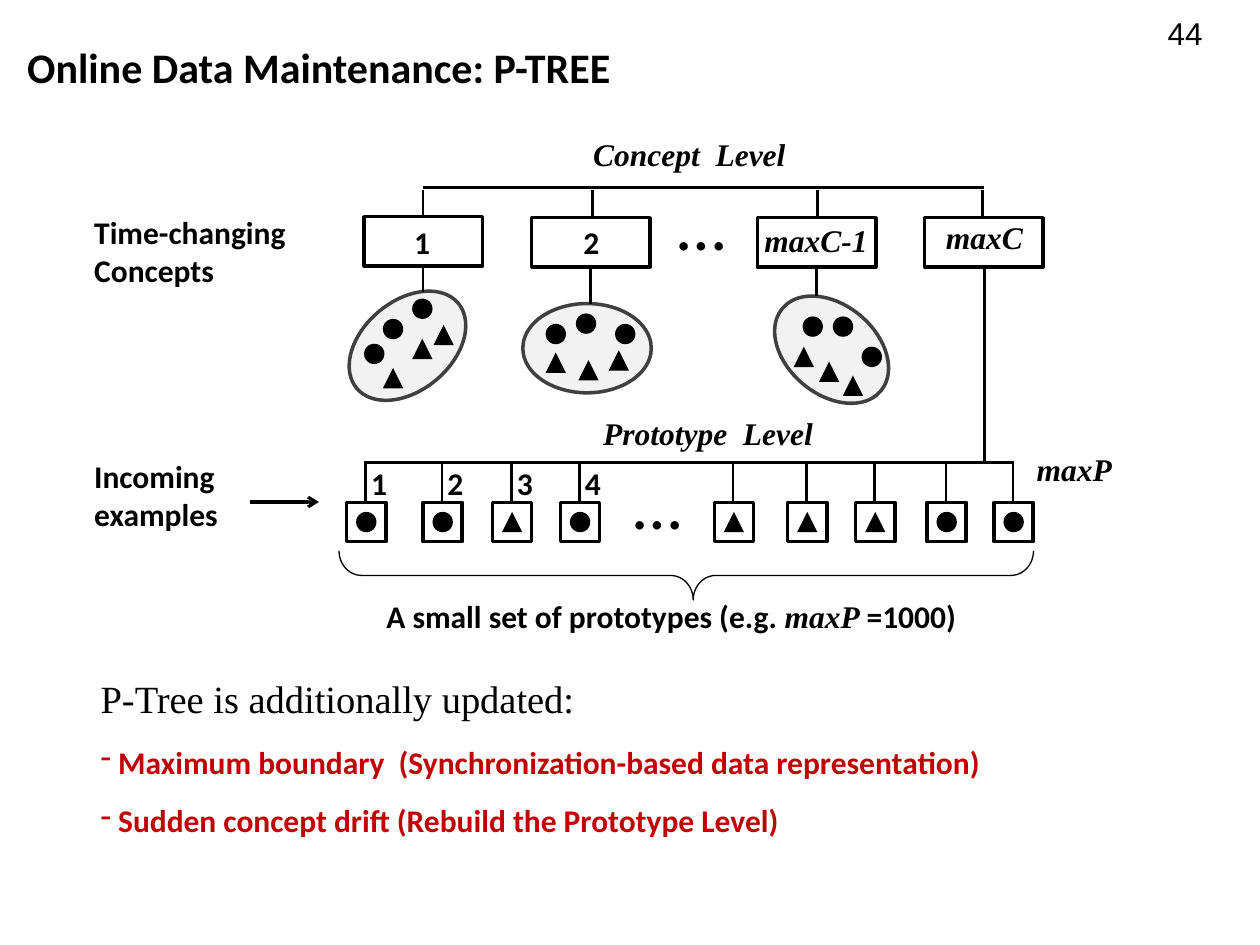
from lxml import etree
from pptx import Presentation
from pptx.dml.color import RGBColor
from pptx.enum.shapes import MSO_CONNECTOR, MSO_SHAPE
from pptx.oxml.ns import qn
from pptx.util import Cm, Pt

STRAIGHT = MSO_CONNECTOR.STRAIGHT
RECTANGLE = MSO_SHAPE.RECTANGLE
CIRCLE = MSO_SHAPE.OVAL
TRIANGLE = MSO_SHAPE.ISOSCELES_TRIANGLE
BRACE = MSO_SHAPE.LEFT_BRACE

COLORS = {"ink": "000000", "cluster": "F2F2F2", "outline": "404040", "accent": "C00000"}
SANS, SERIF, NUMBER_FONT = "Calibri", "Times New Roman", "Arial"
MARK_SIZE = 0.41
BOX_WIDTH, BOX_HEIGHT = 2.39, 0.99
PROTOTYPE_SIZE = 0.79
CONCEPT_BAR, PROTOTYPE_BAR = 3.78, 9.32


def rgb(name):
    return RGBColor.from_string(COLORS[name])


class SlideBuilder:
    """Draws styled elements on one slide; all positions are in centimetres."""

    def __init__(self, slide):
        self.slide = slide

    def shape(self, kind, left, top, width, height, fill=None, line="ink",
              weight=2, rotation=0):
        shape = self.slide.shapes.add_shape(kind, Cm(left), Cm(top), Cm(width), Cm(height))
        shape.shadow.inherit = False
        shape.rotation = rotation
        if fill:
            shape.fill.solid()
            shape.fill.fore_color.rgb = rgb(fill)
        else:
            shape.fill.background()
        if line:
            shape.line.color.rgb = rgb(line)
            shape.line.width = Pt(weight)
        else:
            shape.line.fill.background()
        return shape

    def mark(self, kind, left, top):
        self.shape(kind, left, top, MARK_SIZE, MARK_SIZE, fill="ink", line=None)

    def line(self, x1, y1, x2, y2, weight=1.5, arrow=False):
        connector = self.slide.shapes.add_connector(STRAIGHT, Cm(x1), Cm(y1), Cm(x2), Cm(y2))
        connector.line.color.rgb = rgb("ink")
        connector.line.width = Pt(weight)
        if arrow:
            etree.SubElement(connector.line._get_or_add_ln(), qn("a:tailEnd"), type="arrow")
        etree.SubElement(connector._element.spPr, qn("a:effectLst"))

    def run(self, paragraph, text, size=18, font=SANS, color="ink", bold=True, italic=False):
        run = paragraph.add_run()
        run.text = text
        run.font.size = Pt(size)
        run.font.name = font
        run.font.bold = bold
        run.font.italic = italic
        run.font.color.rgb = rgb(color)

    def text_frame(self, left, top, width, height):
        box = self.slide.shapes.add_textbox(Cm(left), Cm(top), Cm(width), Cm(height))
        box.text_frame.word_wrap = True
        return box.text_frame

    def text(self, text, left, top, width, height, **style):
        paragraph = self.text_frame(left, top, width, height).paragraphs[0]
        self.run(paragraph, text, **style)
        return paragraph

    def term(self, text, left, top, width):
        self.text(text, left, top, width, 1.02, font=SERIF, italic=True)

    def ellipsis(self, left, top):
        self.text("…", left, top, 1.78, 1.96, size=40, bold=False)

    def bullet(self, frame, text):
        paragraph = frame.add_paragraph()
        paragraph.space_before = paragraph.space_after = Pt(6)
        etree.SubElement(paragraph._p.get_or_add_pPr(), qn("a:buChar"), char="-")
        self.run(paragraph, text, color="accent")


def draw_concepts(builder):
    # box left, box top, stem above, stem below, end of the stem below
    concepts = [
        (7.34, 4.37, 8.53, 8.53, 5.89),
        (10.72, 4.39, 11.94, 11.9, 6.12),
        (15.27, 4.39, 16.48, 16.46, 5.97),
        (18.64, 4.39, 19.81, 19.85, PROTOTYPE_BAR),
    ]
    builder.line(8.53, CONCEPT_BAR, 19.84, CONCEPT_BAR)
    for left, top, upper_x, lower_x, end in concepts:
        builder.shape(RECTANGLE, left, top, BOX_WIDTH, BOX_HEIGHT)
        builder.line(upper_x, 3.84, upper_x, top)
        builder.line(lower_x, top + BOX_HEIGHT, lower_x, end)
    builder.text("1", 8.1, 4.37, 1.4, 1.02)
    builder.text("2", 11.51, 4.37, 1.4, 1.02)
    builder.ellipsis(13.41, 3.51)
    builder.term("maxC-1", 15.16, 4.34, 3.15)
    builder.term("maxC", 18.82, 4.27, 2.59)
    builder.term("Concept  Level", 11.71, 2.59, 5.36)


def draw_clusters(builder):
    # ellipse left, top, width, rotation, circles, triangles
    clusters = [
        (6.88, 6.07, 2.67, 320,
         [(7.34, 6.93), (8.31, 6.02), (7.72, 6.43)],
         [(7.72, 7.42), (8.74, 6.55), (8.31, 6.83)]),
        (10.54, 6.12, 2.59, 0,
         [(11, 6.53), (11.61, 6.32), (12.4, 6.53)],
         [(11, 7.11), (12.27, 7.06), (11.66, 7.26)]),
        (15.47, 6.15, 2.59, 40,
         [(16.18, 6.38), (16.79, 6.38), (17.37, 6.99)],
         [(16, 6.99), (16.99, 7.57), (16.51, 7.29)]),
    ]
    for left, top, width, rotation, circles, triangles in clusters:
        builder.shape(CIRCLE, left, top, width, 1.8, fill="cluster",
                      line="outline", rotation=rotation)
        for kind, places in ((CIRCLE, circles), (TRIANGLE, triangles)):
            for place in places:
                builder.mark(kind, *place)


def draw_prototypes(builder):
    # box left, mark, number
    prototypes = [
        (6.99, CIRCLE, "1"), (8.53, CIRCLE, "2"), (9.93, TRIANGLE, "3"),
        (11.3, CIRCLE, "4"), (14.4, TRIANGLE, None), (15.88, TRIANGLE, None),
        (17.25, TRIANGLE, None), (18.69, CIRCLE, None), (20.04, CIRCLE, None),
    ]
    builder.line(7.34, PROTOTYPE_BAR, 20.45, PROTOTYPE_BAR)
    for left, kind, number in prototypes:
        builder.mark(kind, left + 0.19, 10.32)
        builder.shape(RECTANGLE, left, 10.13, PROTOTYPE_SIZE, PROTOTYPE_SIZE)
        builder.line(left + 0.38, PROTOTYPE_BAR, left + 0.38, 10.13)
        if number:
            builder.text(number, left + 0.24, 9.22, 0.79, 1.02)
    builder.ellipsis(12.52, 9.14)
    builder.term("Prototype  Level", 11.91, 8.23, 5.36)
    builder.term("maxP", 20.65, 8.94, 2.39)
    brace = builder.shape(BRACE, 13.34, 4.6, 0.99, 14, weight=0.75, rotation=270)
    brace.adjustments[0] = 0.46
    brace.adjustments[1] = 0.51


def draw_texts(builder):
    builder.text("Online Data Maintenance: P-TREE", 0.3, 0.71, 18.19, 1.27, size=24)
    page_number = builder.text("44", 23.29, 0, 2.11, 1.02, font=NUMBER_FONT, bold=False)
    page_number.line_spacing = 1.2
    builder.text("Time-changing Concepts", 1.65, 4.17, 5.77, 2.11)
    builder.text("Incoming examples", 1.65, 9.09, 3.96, 2.01)
    builder.line(5.03, 10.12, 6.43, 10.12, weight=1.75, arrow=True)

    caption = builder.text("A small set of prototypes (e.g. ", 7.54, 11.91, 14.1, 1.17)
    builder.run(caption, "maxP ", font=SERIF, italic=True)
    builder.run(caption, "=1000)")

    updates = builder.text_frame(1.78, 13.49, 21.23, 4.17)
    heading = updates.paragraphs[0]
    heading.space_after = Pt(6)
    builder.run(heading, "P-Tree is additionally updated:", size=22, font=SERIF, bold=False)
    builder.bullet(updates, " Maximum boundary  (Synchronization-based data representation)")
    builder.bullet(updates, " Sudden concept drift (Rebuild the Prototype Level)")


def main():
    presentation = Presentation()
    presentation.slide_width, presentation.slide_height = Cm(25.4), Cm(19.05)
    slide = presentation.slides.add_slide(presentation.slide_layouts[6])
    builder = SlideBuilder(slide)
    draw_clusters(builder)
    draw_concepts(builder)
    draw_prototypes(builder)
    draw_texts(builder)
    presentation.save("out.pptx")


if __name__ == "__main__":
    main()
